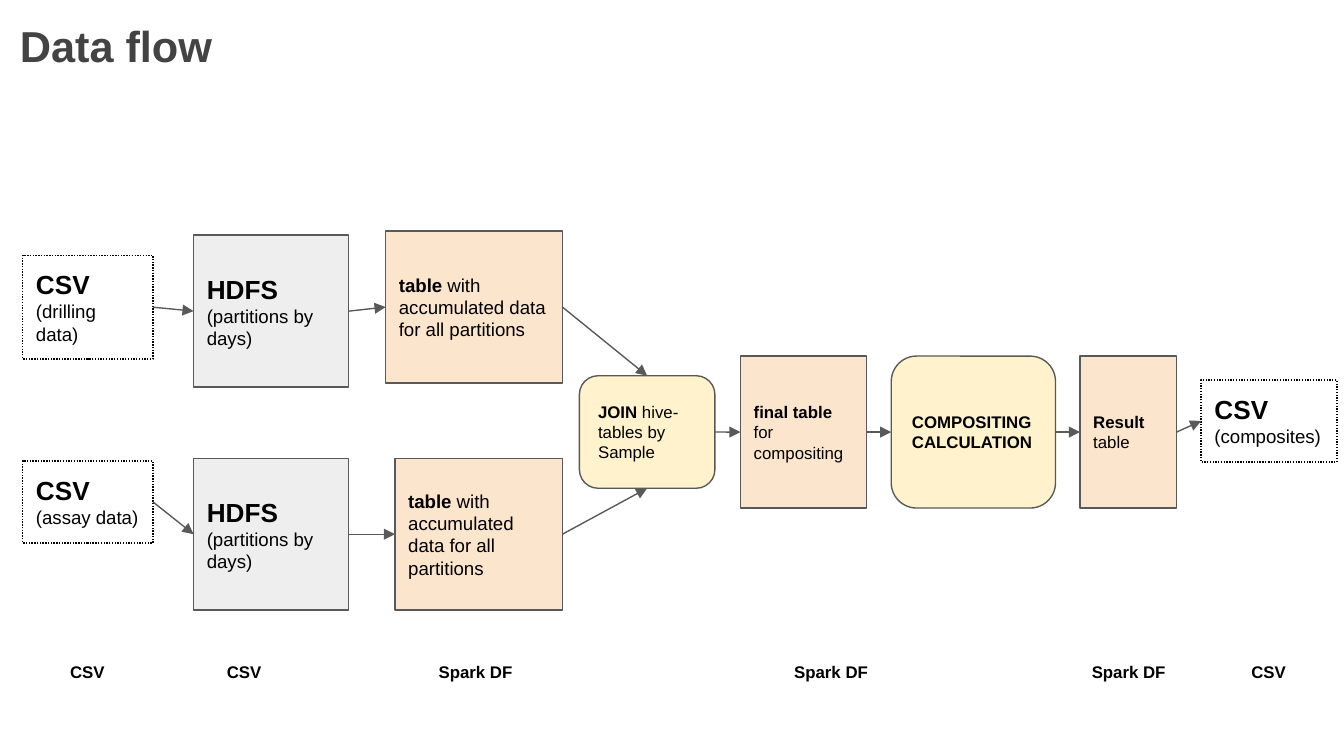
from lxml.etree import SubElement
from pptx import Presentation
from pptx.dml.color import RGBColor
from pptx.enum.dml import MSO_LINE
from pptx.enum.shapes import MSO_CONNECTOR, MSO_SHAPE
from pptx.enum.text import MSO_ANCHOR, MSO_AUTO_SIZE, PP_ALIGN
from pptx.oxml.ns import qn
from pptx.util import Pt

COLORS = {
    "title": "434343", "text": "000000", "edge": "595959",
    "storage": "EEEEEE", "table": "FCE5CD", "process": "FFF2CC",
}
FONT = "Arial"
INSET = 7.2
LINE_WIDTH = 0.75
TOP, BOTTOM, LEFT, RIGHT = 0, 2, 1, 3

BLOCK_H = 81.4
FILE_X, FILE_W = 12.2, 69.8
STORAGE_X, STORAGE_W = 103.7, 83.2
DRILLING_Y, ASSAY_Y, RESULT_Y = 126, 245.5, 190.8
LABEL_Y, LABEL_H = 349.2, 25.2


def file_lines(detail):
    return [[("CSV", 14, True)], [(detail, 10, False)]]


STORAGE_LINES = [[("HDFS", 14, True)], [("(partitions by days)", 10, False)]]
TABLE_LINES = [[("table ", 10, True), ("with accumulated data for all partitions", 10, False)]]

NODES = {
    "drilling file": ("file", (FILE_X, 136.8, FILE_W, 55.6), file_lines("(drilling data)")),
    "assay file": ("file", (FILE_X, 247, FILE_W, 43.9), file_lines("(assay data)")),
    "drilling storage": ("storage", (STORAGE_X, DRILLING_Y, STORAGE_W, BLOCK_H), STORAGE_LINES),
    "assay storage": ("storage", (STORAGE_X, ASSAY_Y, STORAGE_W, BLOCK_H), STORAGE_LINES),
    "drilling table": ("table", (206.6, 123.8, 94.7, BLOCK_H), TABLE_LINES),
    "assay table": ("table", (211.6, ASSAY_Y, 89.7, BLOCK_H), TABLE_LINES),
    "join": ("process", (310.4, 201.3, 72.6, 60.3),
             [[("JOIN ", 9, True), ("hive-tables by Sample", 9, False)]]),
    "final table": ("table", (396.7, RESULT_Y, 67.7, BLOCK_H),
                    [[("final table", 9, True)], [("for compositing", 9, False)]]),
    "compositing": ("process", (477.5, RESULT_Y, 88, BLOCK_H),
                    [[("COMPOSITING CALCULATION", 9, True)]]),
    "result table": ("table", (578.6, RESULT_Y, 51.7, BLOCK_H),
                     [[("Result ", 9, True), ("table", 9, False)]]),
    "composites file": ("file", (643.5, 203.6, 72.7, 43.9), file_lines("(composites)")),
}

FLOWS = [
    ("drilling file", "drilling storage", LEFT),
    ("assay file", "assay storage", LEFT),
    ("drilling storage", "drilling table", LEFT),
    ("assay storage", "assay table", LEFT),
    ("drilling table", "join", TOP),
    ("assay table", "join", BOTTOM),
    ("join", "final table", LEFT),
    ("final table", "compositing", LEFT),
    ("compositing", "result table", LEFT),
    ("result table", "composites file", LEFT),
]

FORMAT_LABELS = [
    ("CSV", 15.8, 62, PP_ALIGN.CENTER),
    ("CSV", 114.4, 62, PP_ALIGN.LEFT),
    ("Spark DF", 223.7, 62, PP_ALIGN.CENTER),
    ("Spark DF", 414.2, 62, PP_ALIGN.CENTER),
    ("Spark DF", 556.4, 96.5, PP_ALIGN.CENTER),
    ("CSV", 648.6, 62, PP_ALIGN.CENTER),
]


def rgb(name):
    return RGBColor.from_string(COLORS[name])


def write(shape, lines, align=PP_ALIGN.LEFT, anchor=MSO_ANCHOR.TOP, color="text", grow=False):
    frame = shape.text_frame
    frame.word_wrap = True
    frame.vertical_anchor = anchor
    frame.auto_size = MSO_AUTO_SIZE.SHAPE_TO_FIT_TEXT if grow else MSO_AUTO_SIZE.NONE
    frame.margin_left = frame.margin_right = Pt(INSET)
    frame.margin_top = frame.margin_bottom = Pt(INSET)
    for index, line in enumerate(lines):
        paragraph = frame.add_paragraph() if index else frame.paragraphs[0]
        paragraph.alignment = align
        for words, size, bold in line:
            run = paragraph.add_run()
            run.text = words
            run.font.name = FONT
            run.font.size = Pt(size)
            run.font.bold = bold
            run.font.color.rgb = rgb(color)


def add_text(slide, box, lines, **style):
    write(slide.shapes.add_textbox(*map(Pt, box)), lines, **style)


def add_node(slide, kind, box, lines):
    preset = MSO_SHAPE.FLOWCHART_ALTERNATE_PROCESS if kind == "process" else MSO_SHAPE.RECTANGLE
    node = slide.shapes.add_shape(preset, *map(Pt, box))
    node.shadow.inherit = False
    node.line.width = Pt(LINE_WIDTH)
    is_file = kind == "file"
    if is_file:
        node.fill.background()
        node.line.color.rgb = rgb("text")
        node.line.dash_style = MSO_LINE.ROUND_DOT
    else:
        node.fill.solid()
        node.fill.fore_color.rgb = rgb(kind)
        node.line.color.rgb = rgb("edge")
    write(node, lines, anchor=MSO_ANCHOR.TOP if is_file else MSO_ANCHOR.MIDDLE, grow=is_file)
    return node


def add_flow(slide, source, target, side):
    flow = slide.shapes.add_connector(MSO_CONNECTOR.STRAIGHT, 0, 0, 0, 0)
    flow.begin_connect(source, RIGHT)
    flow.end_connect(target, side)
    flow.line.width = Pt(LINE_WIDTH)
    flow.line.color.rgb = rgb("edge")
    SubElement(flow.line._get_or_add_ln(), qn("a:tailEnd"), type="triangle")
    SubElement(flow._element.spPr, qn("a:effectLst"))


def main():
    deck = Presentation()
    deck.slide_width, deck.slide_height = Pt(720), Pt(405)
    slide = deck.slides.add_slide(deck.slide_layouts[6])
    add_text(slide, (3.6, 2.9, 671, 45.4), [[("Data flow", 23.2, True)]], color="title")
    nodes = {name: add_node(slide, *node) for name, node in NODES.items()}
    for source, target, side in FLOWS:
        add_flow(slide, nodes[source], nodes[target], side)
    for words, x, width, align in FORMAT_LABELS:
        add_text(slide, (x, LABEL_Y, width, LABEL_H), [[(words, 9, True)]], align=align, grow=True)
    deck.save("out.pptx")


if __name__ == "__main__":
    main()
